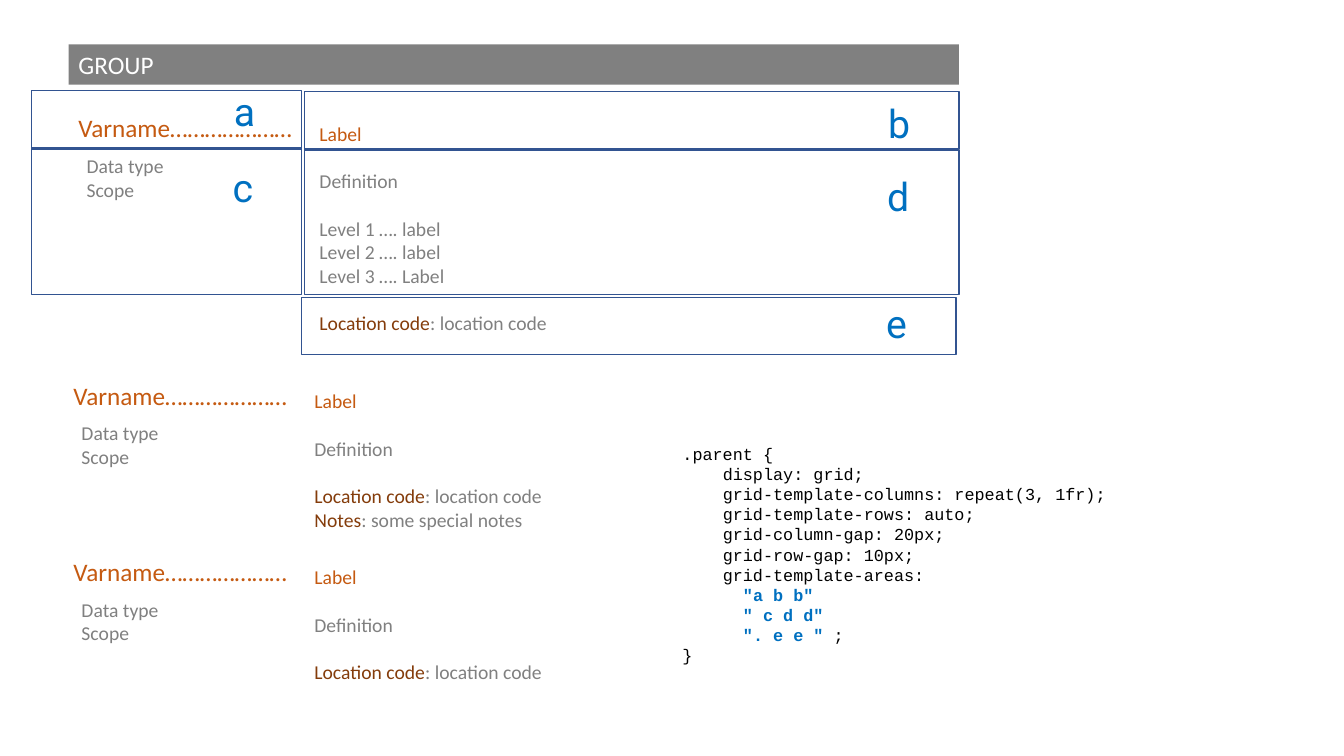
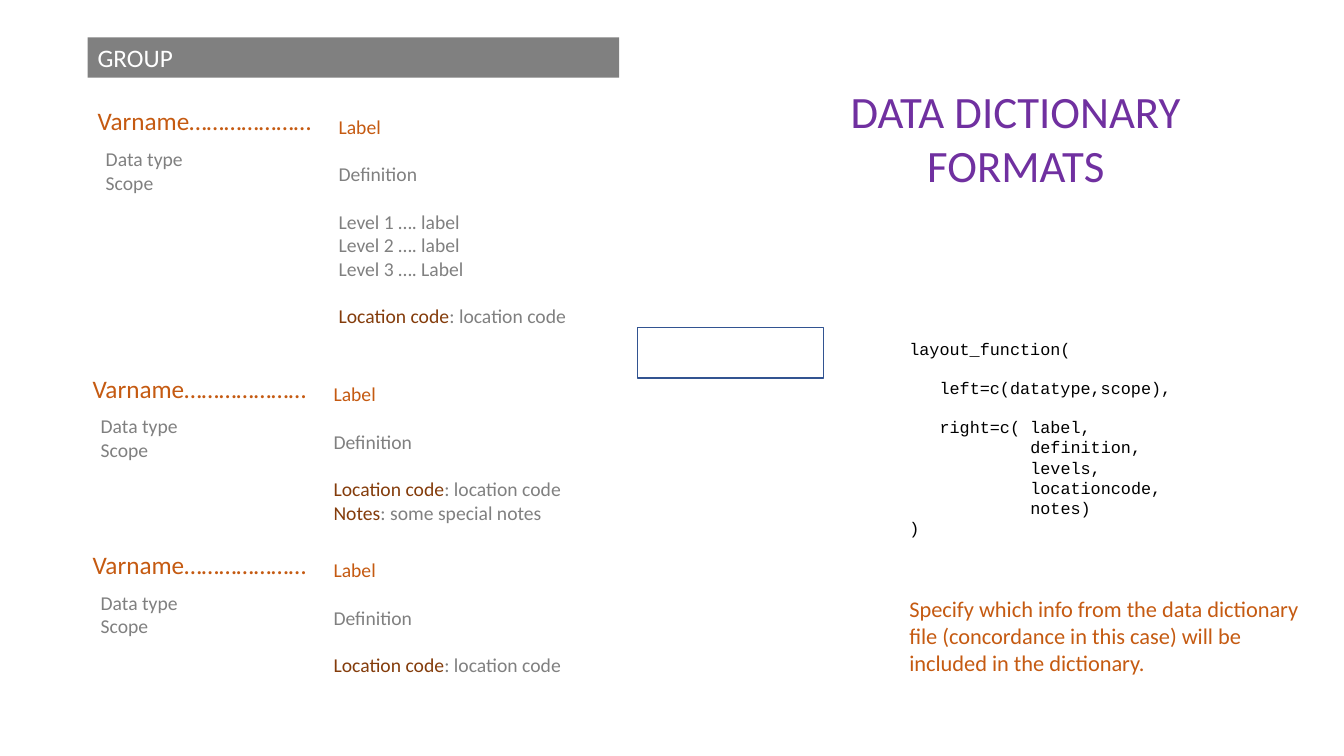
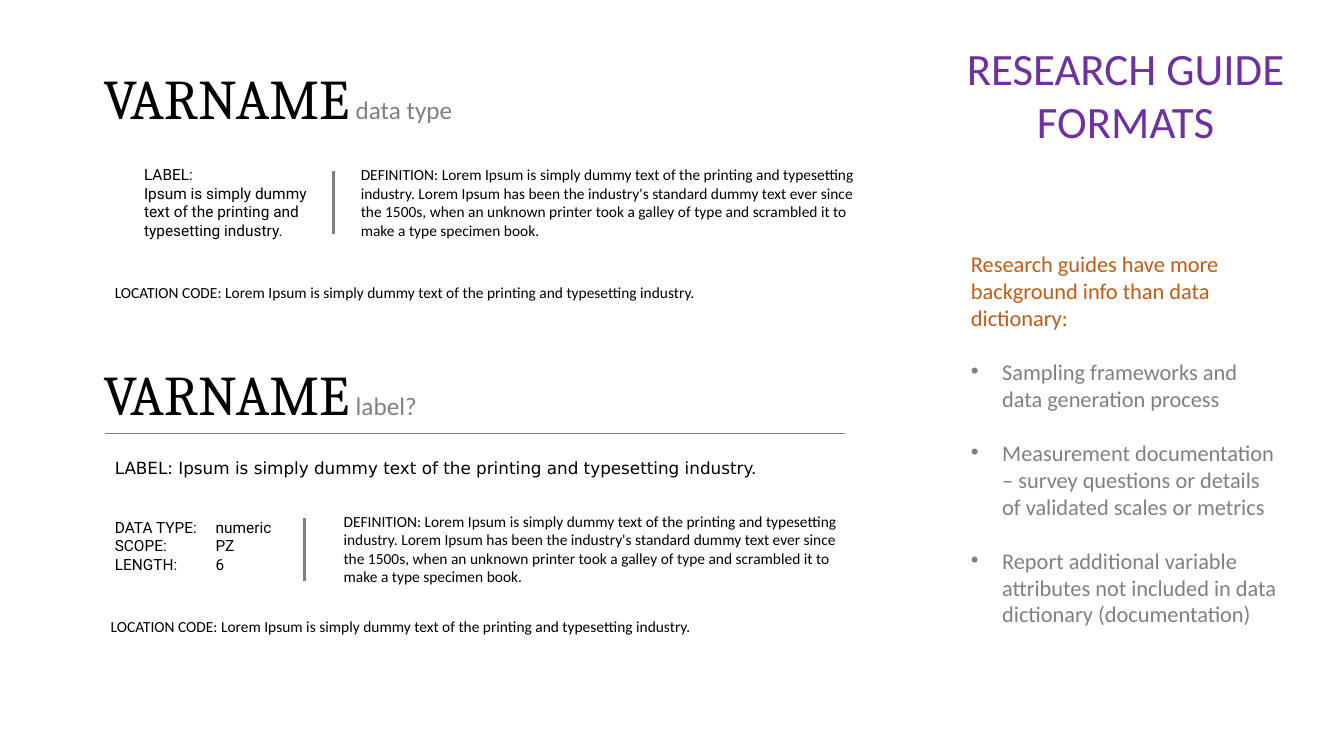
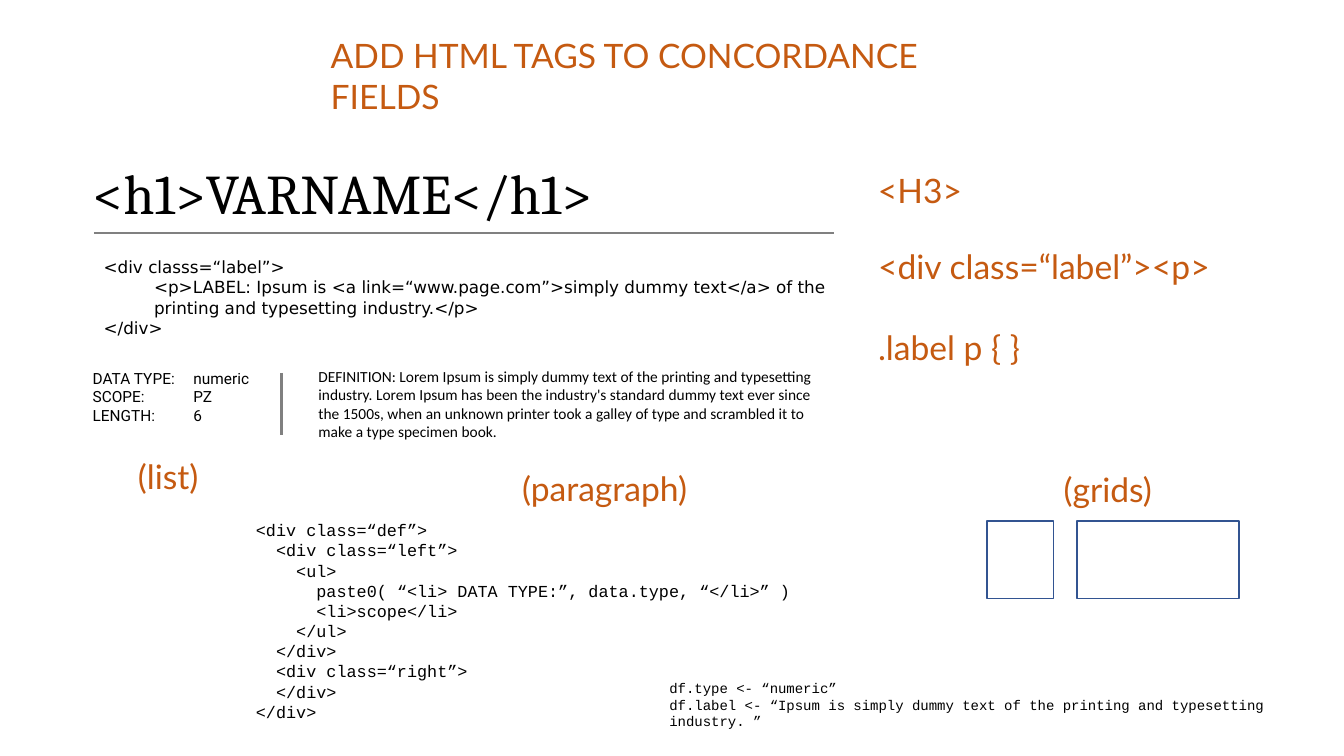
import pptx
import pptx.util
import pptx.dml.color
import pptx.enum.shapes
import pptx.enum.text
import pptx.oxml.ns
import lxml.etree

Inches, Pt = pptx.util.Inches, pptx.util.Pt
qn = pptx.oxml.ns.qn
ALIGN = pptx.enum.text.PP_ALIGN

COLORS = {"gray": "808080", "orange": "C55A11", "brown": "843C0B", "blue": "0070C0",
          "purple": "7030A0", "outline": "325491", "black": "000000", "white": "FFFFFF"}


def style(name, size, color, **more):
    return {"name": name, "size": Pt(size), "color": color, **more}


STYLES = {
    "group": style("Calibri", 18, "white"),
    "varname": style("Calibri", 18, "orange"),
    "detail": style("Calibri", 14, "gray"),
    "area": style("Roboto", 28, "blue"),
    "code": style("Courier New", 12, "black"),
    "small code": style("Courier New", 10, "black"),
    "title": style("Calibri", 32, "purple"),
    "note": style("Calibri", 16, "orange"),
    "heading": style("Cambria", 40, "black"),
    "subheading": style("Calibri", 18, "gray"),
    "body": style("Calibri", 11, "black"),
    "facts": style("Roboto", 11, "black"),
    "label": style("DejaVu Sans", 12, "black"),
    "tag": style("Lato", 24, "orange"),
}
ORANGE, BROWN = {"color": "orange"}, {"color": "brown"}
BLUE = {"color": "blue", "bold": True}
BLANK_14, BLANK_12, BLANK_16, BLANK_24 = 17.1, 13.6, 19.5, 29


def para(*runs, **fmt):
    return runs, fmt


def code(lines):
    return [para(*runs, left=column / 10) for column, *runs in lines]


LABEL = para(("Label", ORANGE))
DEFINITION = para("Definition", gap=BLANK_14)
LOCATION = para(("Location code", BROWN), ": location code", gap=BLANK_14)
LEVELS = [para("Level 1 …. label", gap=BLANK_14), para("Level 2 …. label"),
          para("Level 3 …. Label")]
NOTES = para(("Notes", BROWN), ": some special notes")
ENTRIES = [
    (0.68, 1.07, 2.22, [LABEL, DEFINITION, *LEVELS, LOCATION]),
    (0.63, 3.72, 1.75, [LABEL, DEFINITION, LOCATION, NOTES]),
    (0.63, 5.47, 1.28, [LABEL, DEFINITION, LOCATION]),
]

GRID_CELLS = [(3.02, 0.91, 6.49, 0.57), (0.31, 0.9, 2.68, 0.57), (0.31, 1.48, 2.68, 1.44),
              (3.02, 1.49, 6.49, 1.43), (2.99, 2.95, 6.49, 0.57)]
AREA_LETTERS = [("a", 2.22, 0.82, 0.45), ("b", 8.71, 0.94, 0.45), ("c", 2.21, 1.57, 0.37),
                ("d", 8.7, 1.66, 0.45), ("e", 8.69, 2.92, 0.43)]
GRID_CSS = code([
    (0, ".parent {"),
    (4, "display: grid;"),
    (4, "grid-template-columns: repeat(3, 1fr);"),
    (4, "grid-template-rows: auto;"),
    (4, "grid-column-gap: 20px;"),
    (4, "grid-row-gap: 10px;"),
    (4, "grid-template-areas:"),
    (6, ('"a b b"', BLUE)),
    (6, ('" c d d"', BLUE)),
    (6, ('". e e " ', BLUE), ";"),
    (0, "}"),
])
LAYOUT_CALL = [
    para("layout_function("),
    para("left=c(datatype,scope),", left=0.3, gap=BLANK_12),
    para("right=c( label,", left=0.3, gap=BLANK_12),
    *code([(12, "definition,"), (12, "levels,"), (12, "locationcode,"), (12, "notes)"), (0, ")")]),
    para(("Specify which info from the data dictionary file (concordance in this case) "
          "will be included in the dictionary.", STYLES["note"]), gap=3 * BLANK_12),
]

DUMMY = "psum is simply dummy text of the printing and typesetting industry."
LONG_DEFINITION = (
    "DEFINITION: Lorem I" + DUMMY + " Lorem Ipsum has been the industry's standard dummy text "
    "ever since the 1500s, when an unknown printer took a galley of type and scrambled it to "
    "make a type specimen book.")
LONG_LOCATION = "LOCATION CODE: Lorem I" + DUMMY
FACTS = [para(f"{name}\t{value}", tab=0.96) for name, value in
         [("DATA TYPE:", "numeric"), ("SCOPE:", "PZ"), ("LENGTH:", "6")]]
GUIDE_INTRO = "Research guides have more background info than data dictionary:"
GUIDE_POINTS = [
    "Sampling frameworks and data generation process",
    "Measurement documentation – survey questions or details of validated scales or metrics",
    "Report additional variable attributes not included in data dictionary (documentation)",
]

LABEL_HTML = [
    para("<div classs=“label”>"),
    para("<p>LABEL: Ipsum is <a link=“www.page.com”>simply dummy text</a> of the printing "
         "and typesetting industry.</p>", left=0.5),
    para("</div>"),
]
TAGS = [
    ((8.61, 1.64, 1.07, 0.5), [para("<H3>")]),
    ((8.61, 2.39, 3.68, 1.31), [para("<div class=“label”><p>"),
                                para(".label p { }", gap=BLANK_24)]),
    ((1.27, 4.47, 0.8, 0.5), [para("(list)")]),
    ((5.08, 4.59, 1.86, 0.5), [para("(paragraph)")]),
    ((10.45, 4.6, 1.11, 0.5), [para("(grids)")]),
]
DEFINITION_HTML = code([
    (0, "<div class=“def”>"),
    (2, "<div class=“left”>"),
    (4, "<ul>"),
    (6, "paste0( “<li> DATA TYPE:”, data.type, “</li>” )"),
    (6, "<li>scope</li>"),
    (4, "</ul>"),
    (2, "</div>"),
    (2, "<div class=“right”>"),
    (2, "</div>"),
    (0, "</div>"),
])
DATA_FRAME = [para("df.type <- “numeric”"), para("df.label <- “I" + DUMMY + " ”")]

prs = pptx.Presentation()
prs.slide_width, prs.slide_height = Inches(13.33), Inches(7.5)
BODY_LAYOUT, TITLE_LAYOUT, BLANK_LAYOUT = (prs.slide_layouts[i] for i in (1, 5, 6))


def rgb(color):
    return pptx.dml.color.RGBColor.from_string(COLORS[color])


def write(sp, paras, look, wrap=True, align=ALIGN.LEFT):
    tf = sp.text_frame
    tf.word_wrap = wrap
    tf.auto_size = pptx.enum.text.MSO_AUTO_SIZE.NONE
    tf.vertical_anchor = pptx.enum.text.MSO_ANCHOR.TOP
    for i, (runs, fmt) in enumerate(paras):
        p = tf.add_paragraph() if i else tf.paragraphs[0]
        p.alignment, p.space_before = align, Pt(fmt.get("gap", 0))
        pPr = p._p.get_or_add_pPr()
        bullet = fmt.get("bullet")
        pPr.set("marL", str(Inches(fmt.get("left", 0))))
        pPr.set("indent", str(-Inches(fmt.get("left", 0)) if bullet else 0))
        if bullet:
            lxml.etree.SubElement(pPr, qn("a:buFont"), typeface="Arial")
            lxml.etree.SubElement(pPr, qn("a:buChar"), char=bullet)
        else:
            lxml.etree.SubElement(pPr, qn("a:buNone"))
        if "tab" in fmt:
            tabs = lxml.etree.SubElement(pPr, qn("a:tabLst"))
            lxml.etree.SubElement(tabs, qn("a:tab"), pos=str(Inches(fmt["tab"])), algn="l")
        for run in runs:
            words, change = (run, {}) if isinstance(run, str) else run
            r = p.add_run()
            r.text = words
            for key, value in {**STYLES[look], **change}.items():
                if key == "color":
                    r.font.color.rgb = rgb(value)
                else:
                    setattr(r.font, key, value)


def text(s, box, paras, look, wrap=True):
    paras = [para(paras)] if isinstance(paras, str) else paras
    write(s.shapes.add_textbox(*map(Inches, box)), paras, look, wrap)


def place(sp, box):
    sp.left, sp.top, sp.width, sp.height = map(Inches, box)


def title(s, box, words, look="title", align=ALIGN.CENTER):
    place(s.shapes.title, box)
    write(s.shapes.title, [para(words)], look, align=align)


def rect(s, box, fill=None):
    sp = s.shapes.add_shape(pptx.enum.shapes.MSO_SHAPE.RECTANGLE, *map(Inches, box))
    sp.shadow.inherit = False
    if fill:
        sp.fill.solid()
        sp.fill.fore_color.rgb = rgb(fill)
        sp.line.fill.background()
    else:
        sp.fill.background()
        sp.line.color.rgb, sp.line.width = rgb("outline"), Pt(1)
    return sp


def rule(s, x1, y1, x2, y2, width):
    c = s.shapes.add_connector(pptx.enum.shapes.MSO_CONNECTOR.STRAIGHT,
                               *map(Inches, (x1, y1, x2, y2)))
    c.line.color.rgb, c.line.width = rgb("gray"), Pt(width)
    lxml.etree.SubElement(c._element.spPr, qn("a:effectLst"))


def dictionary(s, dx, dy, bar_width):
    write(rect(s, (0.68 + dx, 0.44 + dy, bar_width, 0.4), "gray"), [para("GROUP")], "group")
    for x, y, height, details in ENTRIES:
        x, y = x + dx, y + dy
        text(s, (x, y, 2.51, 0.4), "Varname…………………", "varname")
        text(s, (x + 0.08, y + 0.41, 0.98, 0.57), [para("Data type"), para("Scope")],
             "detail", False)
        text(s, (x + 2.39, y + 0.09, 2.52, height), details, "detail")


def heading(s, y, subheading):
    runs = para("VARNAME", ("\t" + subheading, STYLES["subheading"]), tab=2.87)
    text(s, (0.93, y, 5.1, 1.01), [runs], "heading")


def definition(s, x, y, rule_x):
    text(s, (x, y, 5.1, 0.84), LONG_DEFINITION, "body")
    rule(s, rule_x, y + 0.11, rule_x, y + 0.73, 2)


s = prs.slides.add_slide(BLANK_LAYOUT)
text(s, (6.67, 4.35, 4.79, 2.32), GRID_CSS, "code")
dictionary(s, 0, 0, 8.83)
for cell in GRID_CELLS:
    rect(s, cell)
for letter, x, y, width in AREA_LETTERS:
    text(s, (x, y, width, 0.57), letter, "area", False)

s = prs.slides.add_slide(TITLE_LAYOUT)
title(s, (8.17, 0.78, 3.81, 1.18), "DATA DICTIONARY FORMATS")
dictionary(s, 0.19, -0.07, 5.27)
text(s, (8.92, 3.31, 4.08, 3.53), LAYOUT_CALL, "code")
rect(s, (6.32, 3.25, 1.85, 0.5))

s = prs.slides.add_slide(BODY_LAYOUT)
title(s, (9.26, 0.35, 3.81, 1.18), "RESEARCH GUIDE FORMATS")
guide = s.placeholders[1]
place(guide, (9.53, 2.43, 3.27, 3.87))
write(guide, [para(GUIDE_INTRO)] + [
    para((point, {"color": "gray"}), left=0.31, bullet="•", gap=BLANK_16)
    for point in GUIDE_POINTS], "note")
heading(s, 0.58, "data type")
text(s, (1.33, 1.59, 1.98, 0.84), [para("LABEL:"), para("I" + DUMMY)], "facts")
definition(s, 3.48, 1.59, 3.31)
text(s, (1.04, 2.76, 7.44, 0.29), LONG_LOCATION, "body")
heading(s, 3.52, "label?")
rule(s, 1.04, 4.3, 8.38, 4.3, 1)
text(s, (1.04, 4.49, 7.12, 0.3), "LABEL: I" + DUMMY, "label")
text(s, (1.04, 5.09, 1.98, 0.66), FACTS, "facts")
definition(s, 3.31, 5.03, 3.02)
text(s, (1, 6.07, 7.44, 0.29), LONG_LOCATION, "body")

s = prs.slides.add_slide(TITLE_LAYOUT)
title(s, (3.18, 0.3, 6.71, 0.5), "ADD HTML TAGS TO CONCORDANCE FIELDS", "tag", ALIGN.LEFT)
text(s, (0.82, 1.52, 6.28, 1.01), "<h1>VARNAME</h1>", "heading")
rule(s, 0.93, 2.31, 8.27, 2.31, 1)
text(s, (0.93, 2.5, 7.76, 0.91), LABEL_HTML, "label")
text(s, (0.82, 3.61, 1.98, 0.66), FACTS, "facts")
definition(s, 3.06, 3.59, 2.79)
for box, tag in TAGS:
    text(s, box, tag, "tag", False)
for x, width in [(9.79, 0.66), (10.68, 1.61)]:
    rect(s, (x, 5.17, width, 0.77))
text(s, (2.44, 5.11, 6.2, 2.12), DEFINITION_HTML, "code")
text(s, (6.54, 6.69, 6.67, 0.61), DATA_FRAME, "small code")

prs.save("out.pptx")
